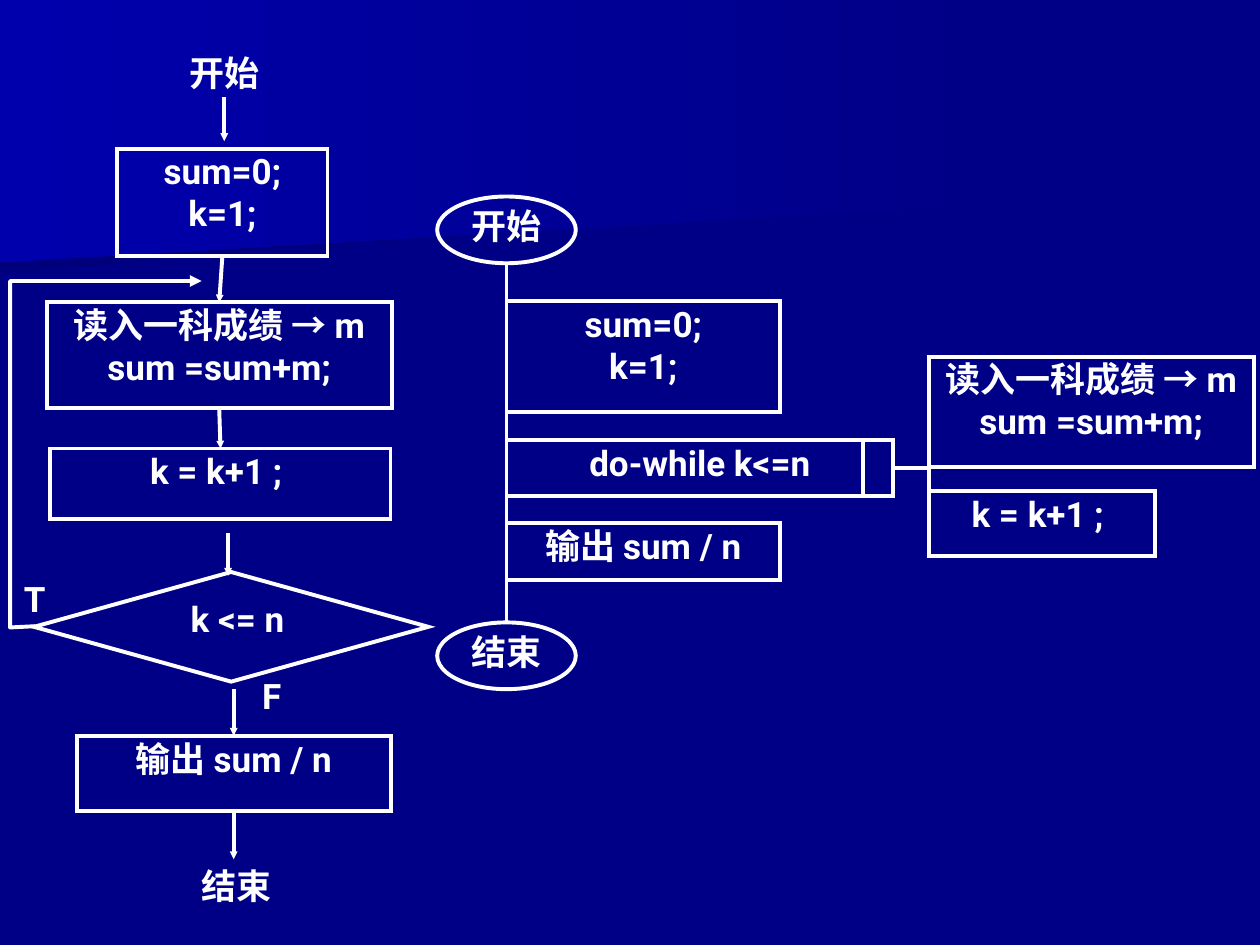
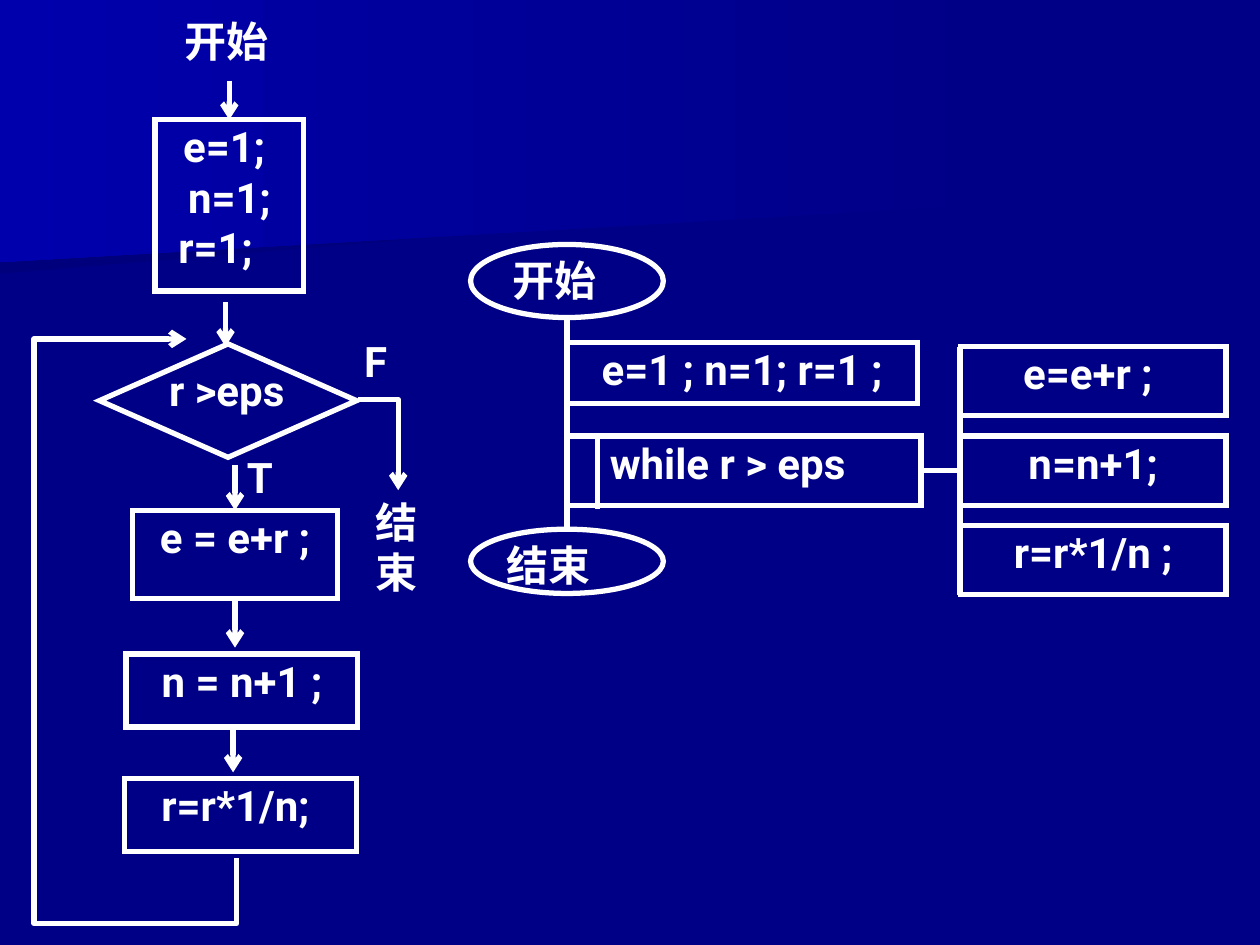
from dataclasses import dataclass
from typing import NamedTuple, Optional

from lxml import etree
from pptx import Presentation
from pptx import util as u
from pptx.dml.color import RGBColor
from pptx.enum import shapes, text
from pptx.oxml.ns import qn

COLUMNS, ROWS = 100, 75
CELL = u.Inches(0.1)
TOP, LEFT, BOTTOM, RIGHT = range(4)

RECT = shapes.MSO_SHAPE.RECTANGLE
OVAL = shapes.MSO_SHAPE.OVAL
DIAMOND = shapes.MSO_SHAPE.DIAMOND


@dataclass(frozen=True)
class Theme:
    font: str = "Roboto"
    background: str = "000086"
    band_dark: str = "00007D"
    band_light: str = "0000AC"
    ink: str = "FFFFFF"
    small_text: int = 20
    large_text: int = 24
    thin_line: float = 2.25
    thick_line: float = 3


THEME = Theme()


class Point(NamedTuple):
    column: float
    row: float


class Side(NamedTuple):
    box: str
    site: int


@dataclass(frozen=True)
class Box:
    left: float
    top: float
    width: float
    height: float
    lines: tuple[str, ...] = ()
    outline: Optional[shapes.MSO_SHAPE] = RECT
    align: text.PP_ALIGN = text.PP_ALIGN.CENTER
    indents: tuple[float, ...] = ()


@dataclass(frozen=True)
class Link:
    begin: Point | Side
    end: Point | Side
    arrow: bool = True


@dataclass(frozen=True)
class Route:
    points: tuple[Point, ...]


@dataclass(frozen=True)
class Band:
    points: tuple[Point, ...]
    color: str


@dataclass(frozen=True)
class Diagram:
    text_size: int
    line_width: float
    head: str
    head_size: str
    boxes: dict[str, Box]
    links: tuple[Link, ...]
    routes: tuple[Route, ...]


def label(left: float, top: float, width: float, height: float, words: str,
          align: text.PP_ALIGN = text.PP_ALIGN.CENTER) -> Box:
    return Box(left, top, width, height, (words,), None, align)


def oval(left: float, top: float, width: float, height: float) -> Box:
    return Box(left, top, width, height, outline=OVAL)


def down(column: float, top: float, bottom: float) -> Link:
    return Link(Point(column, top), Point(column, bottom))


def plain(begin: Point | Side, end: Point | Side) -> Link:
    return Link(begin, end, arrow=False)


BANDS = (
    Band((Point(77.8, 15.3), Point(0, 21.7), Point(0, 10.1), Point(77.9, 10.1),
          Point(77.8, 12.8)), THEME.band_dark),
    Band((Point(79.2, 16.2), Point(0, 20.8), Point(0, 0), Point(79.2, 0)),
         THEME.band_light),
)

INIT_SUM = ("sum=0;", "k=1;")
READ_MARK = ("读入一科成绩 → m", "sum =sum+m;")
NEXT_K = ("k = k+1 ; ",)
OUTPUT = ("输出 sum / n",)

AVERAGE = Diagram(
    THEME.small_text, THEME.thin_line, "triangle", "sm",
    boxes={
        "tree loop": Box(40.2, 34.9, 30.7, 4.5, ("do-while k<=n",)),
        "tree init": Box(40.2, 23.9, 21.7, 8.8, INIT_SUM),
        "tree read": Box(73.7, 28.3, 25.8, 8.8, READ_MARK),
        "tree next": Box(73.7, 39, 18, 5.1, NEXT_K),
        "tree output": Box(40.2, 41.5, 21.7, 4.5, OUTPUT),
        "tree start": oval(34.7, 15.6, 11, 5.3),
        "tree start label": label(32.8, 16.1, 14.8, 4.8, "开始"),
        "tree end": oval(34.7, 49.4, 11, 5.3),
        "tree end label": label(32.8, 49.9, 14.8, 4.8, "结束"),
        "start": label(11, 4, 13.6, 4.8, "开始"),
        "init": Box(9.3, 11.8, 16.7, 8.5, INIT_SUM),
        "read": Box(3.7, 24, 27.4, 8.4, READ_MARK),
        "next": Box(4, 35.6, 27, 5.6, NEXT_K),
        "test": Box(2.7, 45.4, 31.3, 8.7, outline=DIAMOND),
        "test label": label(6.2, 47.3, 25.3, 4.8, "k <= n"),
        "true": label(1.8, 45.7, 4.6, 6.2, "T", text.PP_ALIGN.LEFT),
        "false": label(20.7, 53.4, 4.6, 6.9, "F", text.PP_ALIGN.LEFT),
        "output": Box(6.1, 58.4, 24.9, 6, OUTPUT),
        "end": label(8.1, 68.5, 21.3, 4.4, "结束"),
    },
    links=(
        plain(Side("tree start", BOTTOM), Side("tree end", TOP)),
        plain(Point(68.5, 34.9), Point(68.5, 39.4)),
        plain(Side("tree loop", RIGHT), Point(73.7, 37.15)),
        plain(Point(73.7, 33.6), Point(73.7, 42.7)),
        down(17.8, 7.7, 11.2),
        Link(Side("init", BOTTOM), Side("read", TOP)),
        Link(Side("read", BOTTOM), Side("next", TOP)),
        down(18.1, 42.3, 45.7),
        Link(Point(18.55, 54.7), Side("output", TOP)),
        Link(Side("output", BOTTOM), Point(18.55, 68.2)),
    ),
    routes=(Route((Point(2.8, 49.7), Point(0.8, 49.8), Point(0.8, 22.3),
                   Point(16, 22.3))),),
)

TREE_STEPS = ("e=e+r ; ", "n=n+1;", "r=r*1/n ;")

SERIES = Diagram(
    THEME.large_text, THEME.thick_line, "arrow", "med",
    boxes={
        "start": label(13.5, 1.1, 8.9, 5, "开始"),
        "init": Box(12.3, 9.5, 11.8, 13.6, ("e=1; ", "n=1;", "r=1;"),
                    indents=(0, 0, 1.75)),
        "test": Box(7.9, 27.3, 20.4, 9, outline=DIAMOND),
        "test label": label(9.7, 28.8, 16.6, 4.9, "r >eps"),
        "end": label(28.4, 39.3, 6.2, 7.1, "结束"),
        "false": label(28.8, 26.5, 3, 7.1, "F", text.PP_ALIGN.LEFT),
        "true": label(19.5, 35.7, 3, 6.4, "T", text.PP_ALIGN.LEFT),
        "add": Box(10.5, 40.5, 16.3, 7, ("e = e+r ;",)),
        "next": Box(10, 51.9, 18.4, 5.8, ("n = n+1 ;",)),
        "term": Box(9.9, 61.8, 18.4, 5.8, ("r=r*1/n; ",)),
        "tree init": Box(45, 27.2, 27.8, 4.8, ("e=1 ; n=1; r=1 ;",)),
        "tree loop": Box(45, 34.6, 28.1, 5.5, ("while r > eps",),
                         align=text.PP_ALIGN.LEFT, indents=(3.3,)),
        "tree start": oval(37.35, 19.4, 15.3, 5.8),
        "tree start label": label(40.6, 20.1, 13.9, 5.1, "开始", text.PP_ALIGN.LEFT),
        "tree end": oval(37.35, 42, 15.3, 5.1),
        "tree end label": label(40.1, 42.7, 15.3, 7.1, "结束", text.PP_ALIGN.LEFT),
        **{f"tree step {index}": Box(76.2, 27.5 + 7.1 * index, 21.1, 5.5, (step,))
           for index, step in enumerate(TREE_STEPS)},
    },
    links=(
        Link(Point(18.2, 6.4), Side("init", TOP)),
        down(17.9, 24, 27.5),
        Link(Point(18.65, 36.9), Side("add", TOP)),
        Link(Side("add", BOTTOM), Point(18.65, 51.4)),
        down(18.5, 57.8, 61.3),
        plain(Side("tree start", BOTTOM), Side("tree end", TOP)),
        plain(Point(47.4, 34.6), Point(47.4, 40.4)),
        plain(Side("tree loop", RIGHT), Side("tree step 1", LEFT)),
        plain(Point(76.2, 27.5), Point(76.2, 47.2)),
    ),
    routes=(
        Route((Point(28.4, 31.7), Point(31.6, 31.7), Point(31.6, 38.9))),
        Route((Point(18.8, 68.1), Point(18.8, 73.3), Point(2.7, 73.3),
               Point(2.7, 26.9), Point(14.8, 26.9))),
    ),
)


def cells(count: float) -> int:
    return round(count * CELL)


def place(point: Point) -> tuple[int, int]:
    return cells(point.column), cells(point.row)


def draw_outline(shape, diagram: Diagram) -> None:
    shape.line.color.rgb = RGBColor.from_string(THEME.ink)
    shape.line.width = u.Pt(diagram.line_width)


def add_head(shape, kind: str, size: str) -> None:
    line = shape.element.spPr.get_or_add_ln()
    etree.SubElement(line, qn("a:tailEnd"), type=kind, w=size, len=size)


def draw_freeform(slide, points: tuple[Point, ...], close: bool):
    first, *others = map(place, points)
    builder = slide.shapes.build_freeform(*first)
    builder.add_line_segments(others, close=close)
    shape = builder.convert_to_shape()
    shape.shadow.inherit = False
    return shape


def draw_band(slide, band: Band) -> None:
    shape = draw_freeform(slide, band.points, close=True)
    shape.line.fill.background()
    shape.fill.gradient()
    shape.fill.gradient_angle = 180
    for stop, color in zip(shape.fill.gradient_stops, (THEME.background, band.color)):
        stop.color.rgb = RGBColor.from_string(color)


def write_lines(shape, box: Box, size: int) -> None:
    frame = shape.text_frame
    frame.word_wrap = True
    frame.vertical_anchor = text.MSO_ANCHOR.TOP
    frame.margin_left = frame.margin_right = cells(0.1)
    frame.margin_top = frame.margin_bottom = cells(0.1)
    for index, words in enumerate(box.lines):
        paragraph = frame.paragraphs[0] if index == 0 else frame.add_paragraph()
        paragraph.text = words
        paragraph.alignment = box.align
        if index < len(box.indents) and box.indents[index]:
            paragraph.alignment = text.PP_ALIGN.LEFT
            paragraph._p.get_or_add_pPr().set("marL", str(cells(box.indents[index])))
        paragraph.font.name = THEME.font
        paragraph.font.size = u.Pt(size)
        paragraph.font.bold = True
        paragraph.font.color.rgb = RGBColor.from_string(THEME.ink)


def draw_box(slide, box: Box, diagram: Diagram):
    frame = [cells(count) for count in (box.left, box.top, box.width, box.height)]
    if box.outline is None:
        shape = slide.shapes.add_textbox(*frame)
    else:
        shape = slide.shapes.add_shape(box.outline, *frame)
        shape.shadow.inherit = False
        shape.fill.background()
        draw_outline(shape, diagram)
        etree.SubElement(shape.element.spPr.get_or_add_ln(), qn("a:miter"), lim="800000")
    if box.lines:
        write_lines(shape, box, diagram.text_size)
    return shape


def draw_link(slide, link: Link, diagram: Diagram, drawn: dict) -> None:
    begin, end = (place(spot) if isinstance(spot, Point) else (0, 0)
                  for spot in (link.begin, link.end))
    connector = slide.shapes.add_connector(
        shapes.MSO_CONNECTOR.STRAIGHT, *begin, *end)
    if isinstance(link.begin, Side):
        connector.begin_connect(drawn[link.begin.box], link.begin.site)
    if isinstance(link.end, Side):
        connector.end_connect(drawn[link.end.box], link.end.site)
    draw_outline(connector, diagram)
    if link.arrow:
        add_head(connector, diagram.head, diagram.head_size)
    etree.SubElement(connector.element.spPr, qn("a:effectLst"))


def draw_route(slide, route: Route, diagram: Diagram) -> None:
    shape = draw_freeform(slide, route.points, close=False)
    shape.fill.background()
    draw_outline(shape, diagram)
    add_head(shape, diagram.head, "med")


def draw_diagram(presentation, diagram: Diagram) -> None:
    slide = presentation.slides.add_slide(presentation.slide_layouts[6])
    for band in BANDS:
        draw_band(slide, band)
    drawn = {name: draw_box(slide, box, diagram) for name, box in diagram.boxes.items()}
    for link in diagram.links:
        draw_link(slide, link, diagram, drawn)
    for route in diagram.routes:
        draw_route(slide, route, diagram)


def main() -> None:
    presentation = Presentation()
    presentation.slide_width, presentation.slide_height = cells(COLUMNS), cells(ROWS)
    background = presentation.slide_master.background.fill
    background.solid()
    background.fore_color.rgb = RGBColor.from_string(THEME.background)
    for diagram in (AVERAGE, SERIES):
        draw_diagram(presentation, diagram)
    presentation.save("out.pptx")


if __name__ == "__main__":
    main()
